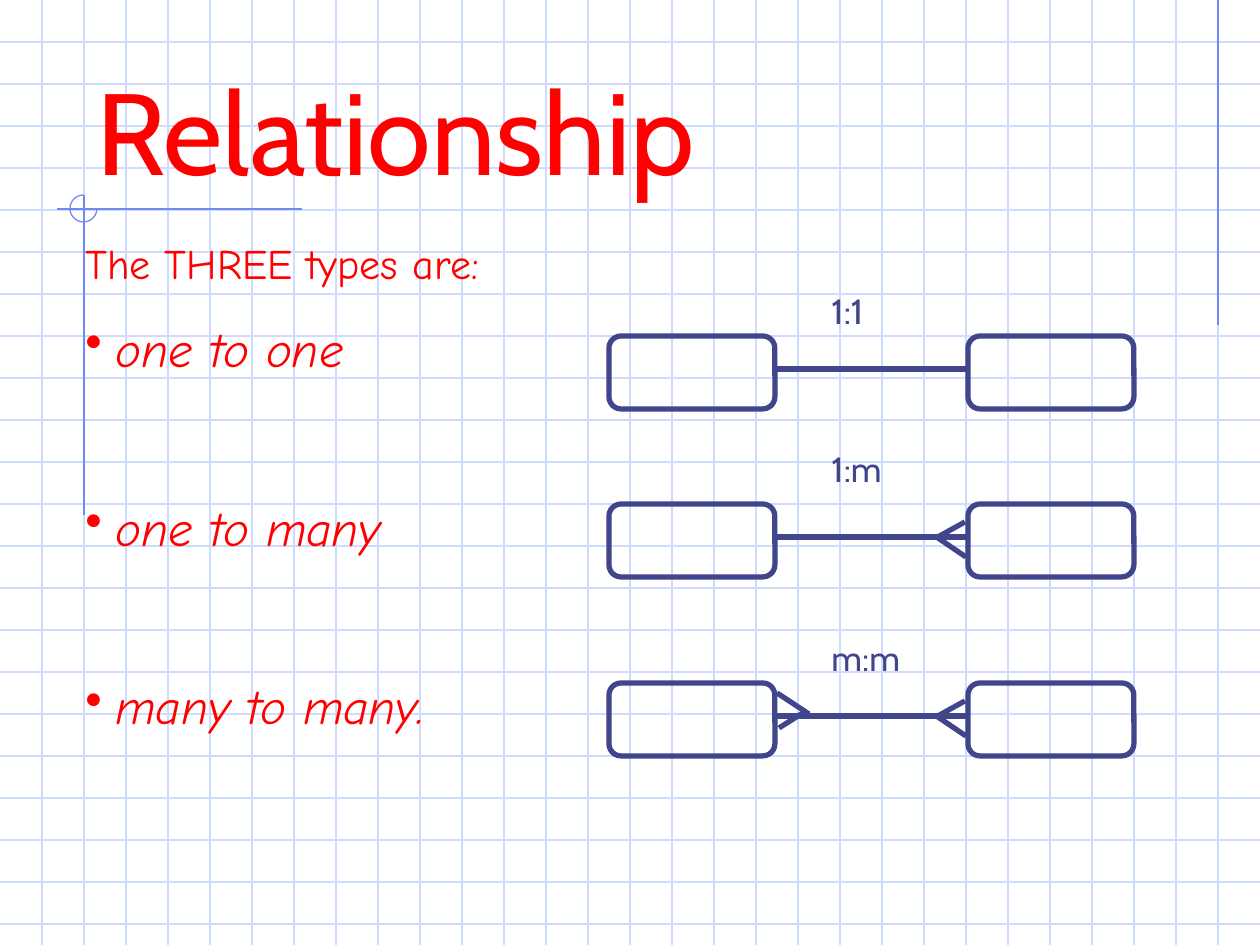
from lxml.etree import SubElement as Sub
from pptx import Presentation
from pptx.dml.color import RGBColor
from pptx.enum.shapes import MSO_CONNECTOR as Link, MSO_SHAPE as Kind
from pptx.enum.text import MSO_ANCHOR as Anchor
from pptx.oxml.ns import qn
from pptx.util import Pt

PX = 914400 // 126
WIDE, HIGH, STEP = 1260, 945, 42
RED, NAVY, BLUE, PALE = "FF0000", "40458C", "6F89F7", "CFDBFD"

deck = Presentation()
deck.slide_width, deck.slide_height = 9144000, 6858000
slide = deck.slides.add_slide(deck.slide_layouts[6])
shapes = slide.shapes


def rgb(code):
    return RGBColor.from_string(code)


def rule(x1, y1, x2, y2, color, width=0.75):
    """Draw a straight line without a shadow."""
    ends = [v * PX for v in (x1, y1, x2, y2)]
    line = shapes.add_connector(Link.STRAIGHT, *ends)
    line.line.color.rgb = rgb(color)
    line.line.width = Pt(width)
    Sub(line._element.spPr, qn("a:effectLst"))


# Squared paper
for y in range(STEP, HIGH, STEP):
    rule(0, y, WIDE, y, PALE)
for x in range(STEP, WIDE, STEP):
    rule(x, 0, x, HIGH, PALE)

# Margin lines and the three-quarter ring
rule(1218, 0, 1218, 325, BLUE)
rule(302, 209, 57, 209, BLUE)
rule(84, 195, 84, 515, BLUE)
ring = shapes.add_shape(Kind.ARC, *[v * PX for v in (70, 195, 27, 27)])
ring.adjustments[0], ring.adjustments[1] = 0, 162
ring.shadow.inherit = False
ring.fill.background()
ring.line.color.rgb = rgb(BLUE)
ring.line.width = Pt(0.75)

# Relationship diagrams: top of boxes, feet on each side
BOX_W, BOX_H, LEFT, RIGHT = 166, 73, 609, 968
FEET = {
    "left": [(777, -23, 809, -2), (779, 12, 806, -5)],
    "right": [(935, -1, 966, 20), (936, 1, 965, -15)],
}
for top, sides in ((336, []), (504, ["right"]), (683, ["right", "left"])):
    for x in (LEFT, RIGHT):
        box = shapes.add_shape(Kind.FLOWCHART_ALTERNATE_PROCESS,
                               *[v * PX for v in (x, top, BOX_W, BOX_H)])
        box.shadow.inherit = False
        box.fill.background()
        box.line.color.rgb = rgb(NAVY)
        box.line.width = Pt(3)
    mid = top + 33
    rule(LEFT + BOX_W, mid, RIGHT, mid, NAVY, 3)
    for side in sides:
        for x1, y1, x2, y2 in FEET[side]:
            rule(x1, mid + y1, x2, mid + y2, NAVY, 3)

# Text: place, color, then paragraphs of (text, space before, bullet, font)
HEAD = {"name": "Cabin", "size": Pt(66)}
LABEL = {"name": "Cabin", "size": Pt(20)}
LEAD = {"name": "Comic Neue", "size": Pt(24)}
ITEM = {"name": "Comic Neue", "size": Pt(28), "italic": True}
TEXTS = [
    ((84, 42, 1071, 157), RED, [("Relationship", 0, False, HEAD)]),
    ((73, 231, 494, 600), RED, [
        ("The THREE types are:", 0, False, LEAD),
        ("one to one", 17.5, True, ITEM),
        ("one to many", 68.6, True, ITEM),
        ("many to many.", 68.6, True, ITEM),
    ]),
    ((819, 283, 105, 55), NAVY, [("1:1", 0, False, LABEL)]),
    ((819, 441, 105, 55), NAVY, [("1:m", 0, False, LABEL)]),
    ((819, 630, 105, 55), NAVY, [("m:m", 0, False, LABEL)]),
]
for place, color, paras in TEXTS:
    frame = shapes.add_textbox(*[v * PX for v in place]).text_frame
    frame.word_wrap = True
    if paras[0][3] is HEAD:
        frame.vertical_anchor = Anchor.BOTTOM
        frame.margin_bottom = 0
    for i, (text, gap, dot, style) in enumerate(paras):
        para = frame.add_paragraph() if i else frame.paragraphs[0]
        para.text = text
        para.space_before = Pt(gap)
        if dot:
            props = para._p.get_or_add_pPr()
            props.set("marL", str(30 * PX))
            props.set("indent", str(-30 * PX))
            Sub(props, qn("a:buChar"), char="•")
        for key, value in style.items():
            setattr(para.font, key, value)
        para.font.color.rgb = rgb(color)

deck.save("out.pptx")
